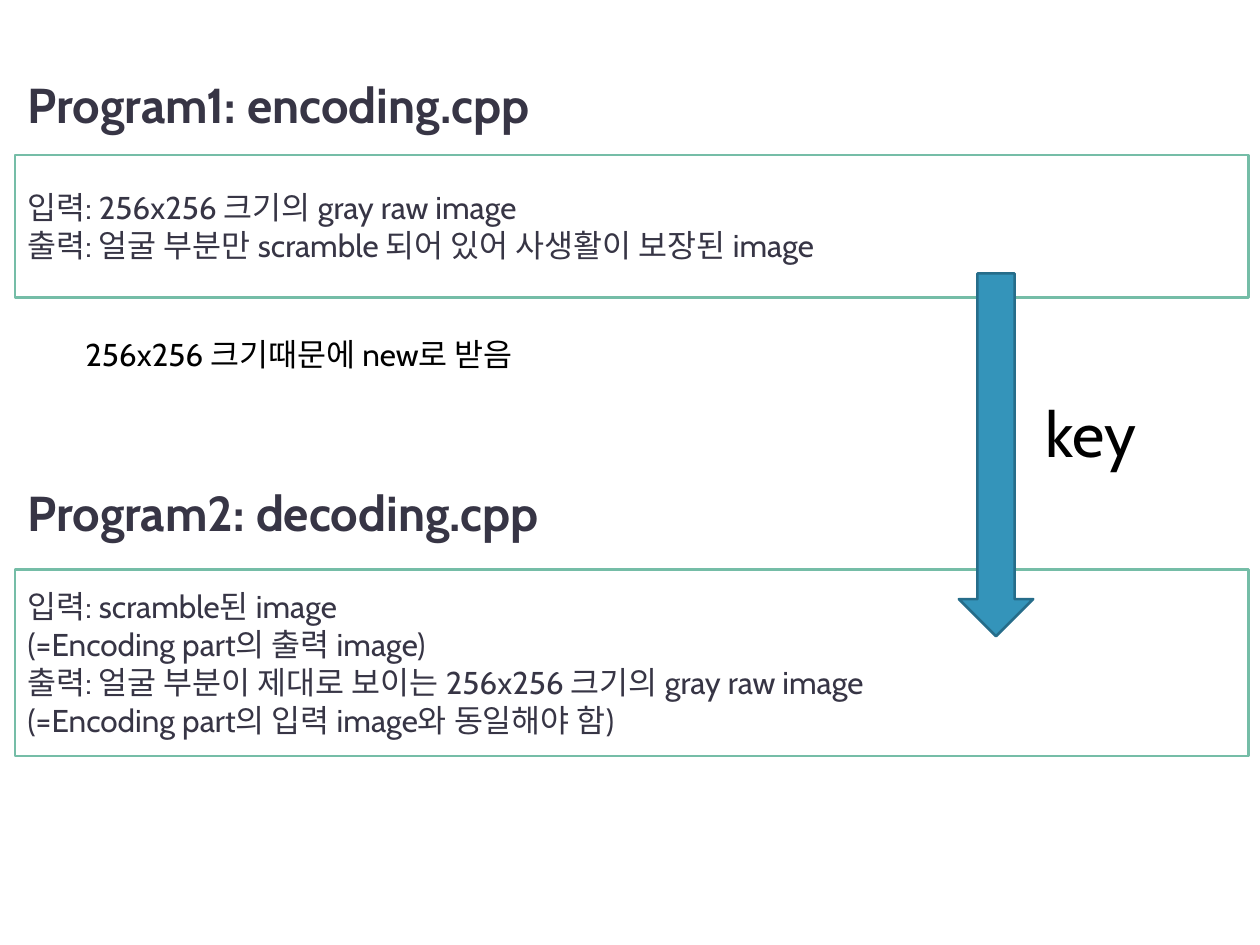
import pptx
import pptx.util
import pptx.dml.color
import pptx.enum.shapes
import pptx.enum.text

Inches = pptx.util.Inches
Pt = pptx.util.Pt
SHAPES = pptx.enum.shapes.MSO_SHAPE
ANCHORS = pptx.enum.text.MSO_ANCHOR
AUTO_SIZES = pptx.enum.text.MSO_AUTO_SIZE

LEFT = 0.12
INK, BLACK, WHITE = "373545", "000000", "FFFFFF"
HEADING = {"size": Pt(28), "bold": True}
BODY = {"size": Pt(18), "bold": False}
KEY = {"size": Pt(36), "bold": False}

PROGRAMS = [
    {
        "heading": "Program1: encoding.cpp",
        "heading_top": 0.42,
        "box_top": 1.23,
        "box_height": 1.13,
        "lines": [
            "입력: 256x256 크기의 gray raw image",
            "출력: 얼굴 부분만 scramble 되어 있어 사생활이 보장된 image",
        ],
    },
    {
        "heading": "Program2: decoding.cpp",
        "heading_top": 3.66,
        "box_top": 4.52,
        "box_height": 1.48,
        "lines": [
            "입력: scramble된 image",
            "(=Encoding part의 출력 image)",
            "출력: 얼굴 부분이 제대로 보이는 256x256 크기의 gray raw image",
            "(=Encoding part의 입력 image와 동일해야 함)",
        ],
    },
]
LABELS = [
    ("key", (8.2, 3.08, 1.02, 0.71), KEY),
    ("256x256 크기때문에 new로 받음", (0.58, 2.61, 3.79, 0.4), BODY),
]


def color(value):
    """Turn a hex string into a colour."""
    return pptx.dml.color.RGBColor.from_string(value)


def box(left, top, width, height):
    """Return a position and size in inches."""
    return [Inches(value) for value in (left, top, width, height)]


def write(shape, lines, font_values, font_color, anchor=ANCHORS.MIDDLE,
          auto_size=AUTO_SIZES.NONE):
    """Fill a shape with left-aligned paragraphs."""
    frame = shape.text_frame
    frame.word_wrap = True
    frame.auto_size = auto_size
    frame.vertical_anchor = anchor
    frame.text = "\n".join(lines)
    for paragraph in frame.paragraphs:
        paragraph.alignment = pptx.enum.text.PP_ALIGN.LEFT
        font = paragraph.runs[0].font
        for name, value in {"name": "Cabin", **font_values}.items():
            setattr(font, name, value)
        font.color.rgb = color(font_color)


def add_outlined(slide, kind, place, fill, line):
    """Add a filled preset shape with a 1.5 point outline."""
    shape = slide.shapes.add_shape(kind, *box(*place))
    shape.shadow.inherit = False
    shape.fill.solid()
    shape.fill.fore_color.rgb = color(fill)
    shape.line.color.rgb = color(line)
    shape.line.width = Pt(1.5)
    return shape


presentation = pptx.Presentation()
presentation.slide_width = Inches(10)
presentation.slide_height = Inches(7.5)
slide = presentation.slides.add_slide(presentation.slide_layouts[5])

for index, program in enumerate(PROGRAMS):
    place = box(LEFT, program["heading_top"], 9, 0.81)
    if index == 0:
        heading = slide.shapes.title
        heading.left, heading.top, heading.width, heading.height = place
    else:
        heading = slide.shapes.add_textbox(*place)
    write(heading, [program["heading"]], HEADING, INK)
    details = add_outlined(
        slide, SHAPES.RECTANGLE,
        (LEFT, program["box_top"], 9.79, program["box_height"]), WHITE, "75BDA7")
    write(details, program["lines"], BODY, INK)

add_outlined(slide, SHAPES.DOWN_ARROW, (7.61, 2.17, 0.59, 2.88), "3494BA", "266D8A")

for text, place, font_values in LABELS:
    label = slide.shapes.add_textbox(*box(*place))
    write(label, [text], font_values, BLACK, ANCHORS.TOP,
          AUTO_SIZES.SHAPE_TO_FIT_TEXT)

presentation.save("out.pptx")
